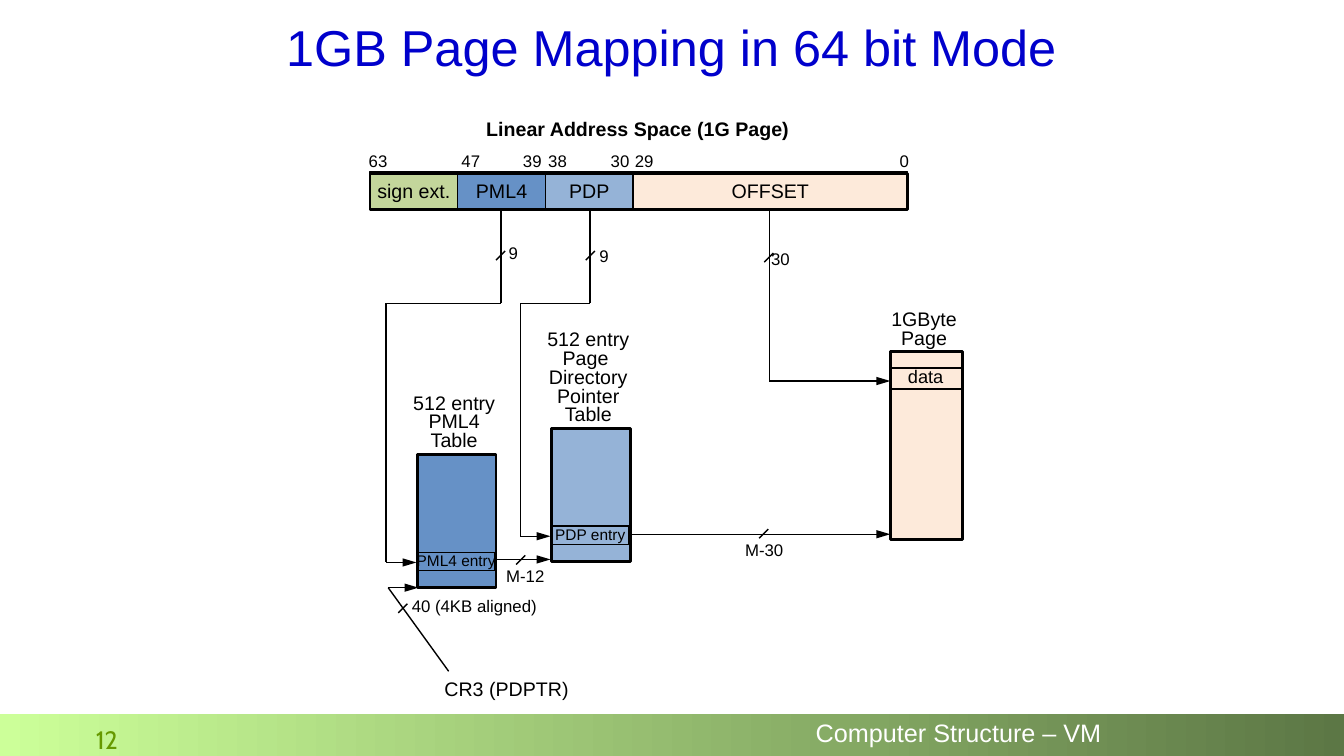
import pptx
import pptx.util
import pptx.dml.color
import pptx.enum.shapes
import pptx.enum.text
import pptx.oxml.ns
from lxml import etree

Inches = pptx.util.Inches
RGB = pptx.dml.color.RGBColor
Align = pptx.enum.text.PP_ALIGN
Anchor = pptx.enum.text.MSO_ANCHOR
qn = pptx.oxml.ns.qn

BLACK = RGB(0, 0, 0)
WHITE = RGB(255, 255, 255)
TITLE = RGB(0, 0, 0xCC)
NUMBER = RGB(0x66, 0x99, 0)
LIME = RGB(0xCC, 0xFF, 0x99)
OLIVE = RGB(0x5C, 0x77, 0x45)
GREEN = RGB(0xC3, 0xD6, 0x9B)
BLUE = RGB(0x66, 0x91, 0xC6)
SKY = RGB(0x95, 0xB3, 0xD7)
PEACH = RGB(0xFD, 0xEA, 0xDA)


def write(shape, text, size=12, color=BLACK, font="Arial", bold=False,
          align=Align.CENTER, space=0.8, top=0):
    frame = shape.text_frame
    frame.word_wrap = False
    frame.vertical_anchor = Anchor.MIDDLE
    frame.margin_left = frame.margin_right = frame.margin_bottom = 0
    frame.margin_top = Inches(top)
    frame.text = text
    for para in frame.paragraphs:
        para.alignment = align
        para.line_spacing = space
        for run in para.runs:
            run.font.size = pptx.util.Pt(size)
            run.font.name = font
            run.font.bold = bold
            run.font.color.rgb = color


def label(slide, text, x, y, w, h, **style):
    area = slide.shapes.add_textbox(*map(Inches, (x, y, w, h)))
    write(area, text, **style)


def box(slide, x, y, w, h, fill=None, line=1):
    kind = pptx.enum.shapes.MSO_SHAPE.RECTANGLE
    shape = slide.shapes.add_shape(kind, *map(Inches, (x, y, w, h)))
    shape.shadow.inherit = False
    if fill is None:
        shape.fill.background()
    else:
        shape.fill.solid()
        shape.fill.fore_color.rgb = fill
    if line:
        shape.line.color.rgb = BLACK
        shape.line.width = pptx.util.Pt(line)
    else:
        shape.line.fill.background()
    return shape


def route(slide, *points, arrow=True):
    """Draw straight lines from point to point, with a head on the last."""
    kind = pptx.enum.shapes.MSO_CONNECTOR.STRAIGHT
    for start, end in zip(points, points[1:]):
        line = slide.shapes.add_connector(kind, *map(Inches, start + end))
        line.line.color.rgb = BLACK
        line.line.width = pptx.util.Pt(1)
        props = line._element.spPr
        etree.SubElement(props, qn("a:effectLst"))
        if arrow and end == points[-1]:
            etree.SubElement(props.find(qn("a:ln")), qn("a:tailEnd"),
                             type="triangle", w="med", len="lg")


def slash(slide, x, y):
    route(slide, (x + 0.05, y - 0.05), (x - 0.04, y + 0.04), arrow=False)


def table(slide, x, y, fill, entry):
    box(slide, x, y, 0.78, 1.32, fill, 2)
    write(box(slide, x, y + 0.97, 0.77, 0.18), entry, size=11, top=0.02)


def footer(slide):
    bar = box(slide, 0, 7.08, 13.33, 0.42, LIME, 0)
    bar.fill.gradient()
    bar.fill.gradient_angle = 0
    for stop, color in zip(bar.fill.gradient_stops, (LIME, OLIVE)):
        stop.color.rgb = color
    label(slide, "Computer Structure – VM", 8.09, 7.11, 2.85, 0.36,
          size=18, color=WHITE, align=Align.LEFT)
    label(slide, "12", 0.67, 7.17, 0.78, 0.37,
          size=18, color=NUMBER, font="Cabin", space=0.9)


def address(slide):
    label(slide, "Linear Address Space (1G Page)", 4.75, 1.17, 3.15, 0.26,
          size=14, bold=True)
    left = 3.67
    for name, width, fill in (("sign ext.", 0.87, GREEN), ("PML4", 0.87, BLUE),
                              ("PDP", 0.87, SKY), ("OFFSET", 2.72, PEACH)):
        write(box(slide, left, 1.7, width, 0.38, fill), name, size=14, space=1)
        left += width
    box(slide, 3.67, 1.72, 5.33, 0.36, line=2)
    for bit, x in (("63", 3.6), ("47", 4.52), ("39", 5.13), ("38", 5.38),
                   ("30", 6), ("29", 6.24), ("0", 8.82)):
        label(slide, bit, x, 1.5, 0.3, 0.22)


def tables(slide):
    table(slide, 4.14, 4.51, BLUE, "PML4 entry")
    table(slide, 5.47, 4.25, SKY, "PDP entry")
    box(slide, 8.83, 3.49, 0.72, 1.86, PEACH, 2)
    write(box(slide, 8.82, 3.65, 0.72, 0.21), "data", size=13)
    for text, x, y, w, h in (
            ("512 entry\vPML4\vTable", 4.03, 3.88, 0.95, 0.64),
            ("512 entry\vPage \vDirectory\nPointer\vTable",
             5.36, 3.25, 0.95, 1.01),
            ("1GByte\vPage", 8.77, 3.05, 0.79, 0.45),
            ("CR3 (PDPTR)", 4.4, 6.68, 1.25, 0.34)):
        label(slide, text, x, y, w, h, size=14)


def links(slide):
    # Address fields to table entries
    route(slide, (4.97, 2.08), (4.97, 3.01), (3.83, 3.01),
          (3.83, 5.58), (4.13, 5.58))
    route(slide, (5.85, 2.08), (5.85, 3.01), (5.16, 3.01),
          (5.16, 5.32), (5.46, 5.32))
    route(slide, (7.63, 2.08), (7.63, 3.78), (8.83, 3.78))
    # Base addresses
    route(slide, (4.45, 6.66), (3.85, 5.83), (4.15, 5.83))
    route(slide, (4.92, 5.55), (5.46, 5.55))
    route(slide, (6.25, 5.3), (8.83, 5.3))
    # Widths in bits
    for x, y in ((4.96, 2.54), (5.85, 2.54), (7.62, 2.56),
                 (3.99, 6.04), (5.16, 5.56), (7.57, 5.3)):
        slash(slide, x, y)
    for text, x, y, w in (("9", 4.94, 2.42, 0.3), ("9", 5.84, 2.45, 0.3),
                          ("30", 7.59, 2.48, 0.3),
                          ("40 (4KB aligned)", 4.02, 5.92, 1.37),
                          ("M-12", 5, 5.62, 0.42), ("M-30", 7.33, 5.36, 0.5)):
        label(slide, text, x, y, w, 0.22)


def main():
    deck = pptx.Presentation()
    deck.slide_width = Inches(13.33)
    deck.slide_height = Inches(7.5)
    slide = deck.slides.add_slide(deck.slide_layouts[6])
    footer(slide)
    label(slide, "1GB Page Mapping in 64 bit Mode", 1.27, 0.16, 10.78, 0.67,
          size=36, color=TITLE, space=0.9)
    address(slide)
    tables(slide)
    links(slide)
    deck.save("out.pptx")


main()
